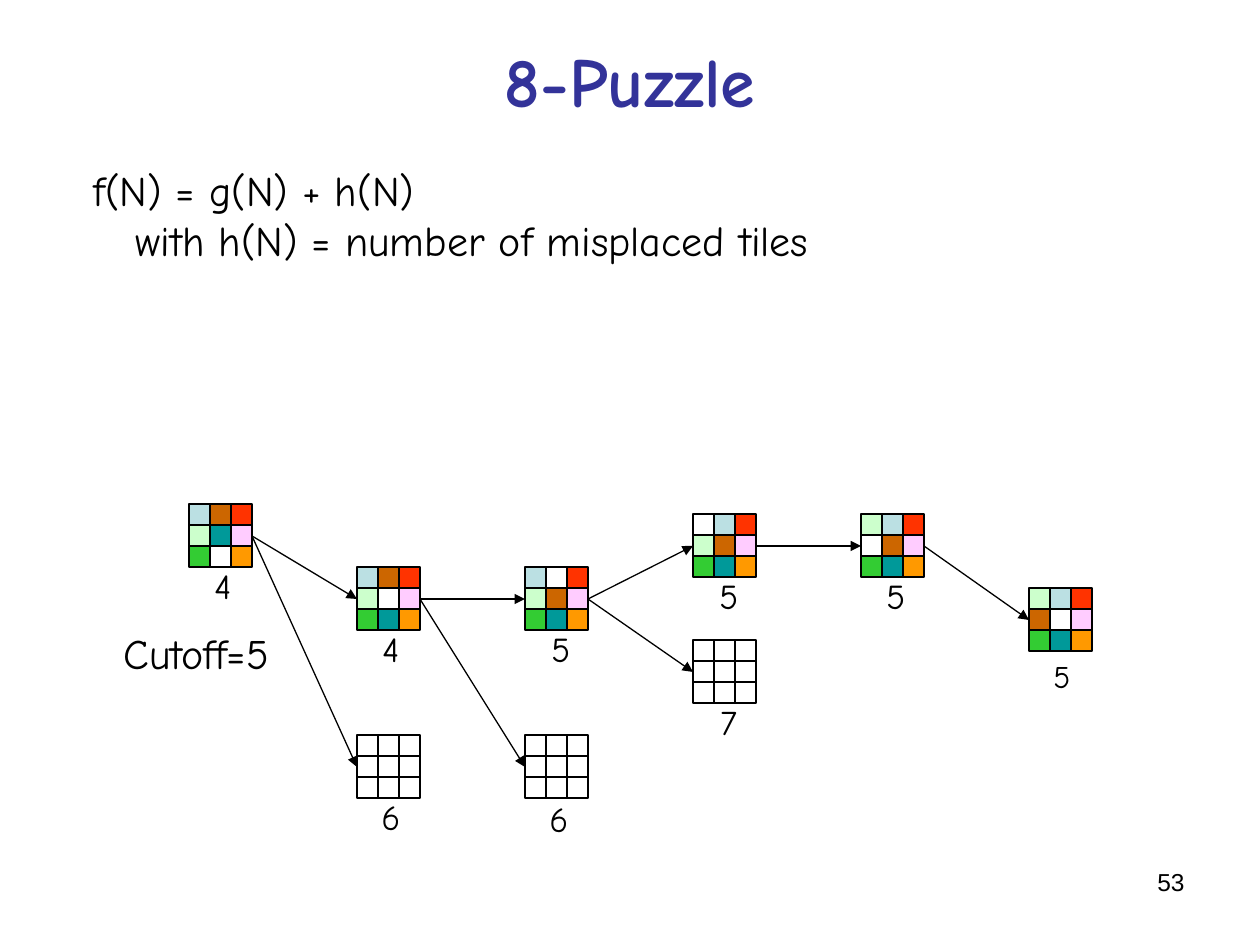
"""Builds the 8-puzzle search tree slide."""
import dataclasses

import lxml.etree
import pptx
import pptx.dml.color
import pptx.enum.shapes
import pptx.enum.text
import pptx.oxml.ns
import pptx.util

ALIGN = pptx.enum.text.PP_ALIGN
ANCHOR = pptx.enum.text.MSO_ANCHOR
SHAPE = pptx.enum.shapes.MSO_SHAPE
SCALE = 914400 / 126
TILE = 21
BOARD = 3 * TILE
MIDDLE = 32


@dataclasses.dataclass(frozen=True)
class Theme:
    hand: str = "Comic Neue"
    plain: str = "Arial"
    ink: str = "000000"
    heading: str = "333399"
    paper: str = "FFFFFF"
    tiles: tuple = ("FFFFFF", "BBE0E3", "CC6600", "FF3300", "CCFFCC",
                    "009999", "FFCCFF", "33CC33", "FF9900")
    title_size: int = 40
    body_size: int = 24
    score_size: int = 20
    goal_size: int = 18
    number_size: int = 14
    line_width: float = 0.75


def emu(*lengths):
    return [pptx.util.Emu(round(length * SCALE)) for length in lengths]


def rgb(value):
    return pptx.dml.color.RGBColor.from_string(value)


def apply(target, values):
    for name, value in values.items():
        setattr(target, name, value)


class Painter:
    def __init__(self, theme, page):
        self.theme = theme
        self.page = page

    def text(self, place, lines, size, color=None, font=None, fill=None,
             indent=0, frame=None, **style):
        box = self.page.shapes.add_textbox(*emu(*place))
        if fill:
            box.fill.solid()
            box.fill.fore_color.rgb = rgb(fill)
        apply(box.text_frame, {"word_wrap": False, **(frame or {})})
        for index, line in enumerate(lines):
            para = box.text_frame.paragraphs[0] if index == 0 else box.text_frame.add_paragraph()
            if index:
                para._p.get_or_add_pPr().set("marL", str(emu(indent)[0]))
            para.alignment = style.get("align", ALIGN.LEFT)
            span = para.add_run()
            span.text = line
            apply(span.font, {"name": font or self.theme.hand,
                              "size": pptx.util.Pt(size),
                              "bold": style.get("bold", False)})
            span.font.color.rgb = rgb(color or self.theme.ink)

    def outline(self, line):
        line.color.rgb = rgb(self.theme.ink)
        line.width = pptx.util.Pt(self.theme.line_width)

    def board(self, left, top, state):
        group = self.page.shapes.add_group_shape()
        for index, tile in enumerate(state):
            row, column = divmod(index, 3)
            place = emu(left + column * TILE, top + row * TILE, TILE, TILE)
            square = group.shapes.add_shape(SHAPE.RECTANGLE, *place)
            square.shadow.inherit = False
            square.fill.solid()
            square.fill.fore_color.rgb = rgb(self.theme.tiles[int(tile)])
            self.outline(square.line)

    def arrow(self, start, end):
        connector = self.page.shapes.add_connector(
            pptx.enum.shapes.MSO_CONNECTOR.STRAIGHT, *emu(*start, *end))
        self.outline(connector.line)
        head = lxml.etree.SubElement(connector.line._get_or_add_ln(),
                                     pptx.oxml.ns.qn("a:tailEnd"))
        head.set("type", "triangle")
        lxml.etree.SubElement(connector._element.spPr, pptx.oxml.ns.qn("a:effectLst"))


def main():
    theme = Theme()
    deck = pptx.Presentation()
    apply(deck, {"slide_width": pptx.util.Inches(10), "slide_height": pptx.util.Inches(7.5)})
    page = deck.slides.add_slide(deck.slide_layouts[6])
    painter = Painter(theme, page)

    painter.text((63, 0, 1134, 158), ["8-Puzzle"], theme.title_size, theme.heading,
                 frame={"word_wrap": True, "vertical_anchor": ANCHOR.MIDDLE},
                 align=ALIGN.CENTER, bold=True)
    painter.text((81, 158, 740, 113),
                 ["f(N) = g(N) + h(N)", "with h(N) = number of misplaced tiles"],
                 theme.body_size, indent=42)
    painter.text((111, 621, 171, 63), ["Cutoff=5"], theme.body_size)
    painter.text((903, 861, 294, 66), ["53"], theme.number_size, font=theme.plain,
                 frame={"word_wrap": True}, align=ALIGN.RIGHT)

    unexpanded = "0" * 9
    nodes = {
        "root": (189, 504, "123456708", "4", 13, 54),
        "blank up": (357, 567, "123406758", "4", 13, 54),
        "root cut": (357, 735, unexpanded, "6", 12, 54),
        "blank top": (525, 567, "103426758", "5", 14, 54),
        "second cut": (525, 735, unexpanded, "6", 12, 56),
        "blank left": (693, 514, "013426758", "5", 14, 54),
        "third cut": (693, 640, unexpanded, "7", 15, 54),
        "blank down": (861, 514, "413026758", "5", 13, 54),
        "goal side": (1029, 588, "413206758", "5", 12, 63),
    }
    moves = [("root", "blank up"), ("root", "root cut"),
             ("blank up", "blank top"), ("blank up", "second cut"),
             ("blank top", "blank left"), ("blank top", "third cut"),
             ("blank left", "blank down"), ("blank down", "goal side")]

    for name, (left, top, state, score, across, down) in nodes.items():
        size = theme.goal_size if name == "goal side" else theme.score_size
        fill = theme.paper if state == unexpanded else None
        painter.text((left + across, top + down, 43, 55), [score], size, fill=fill)
        painter.board(left, top, state)
    for parent, child in moves:
        (left, top), (end_left, end_top) = nodes[parent][:2], nodes[child][:2]
        painter.arrow((left + BOARD, top + MIDDLE), (end_left, end_top + MIDDLE))

    deck.save("out.pptx")


if __name__ == "__main__":
    main()
